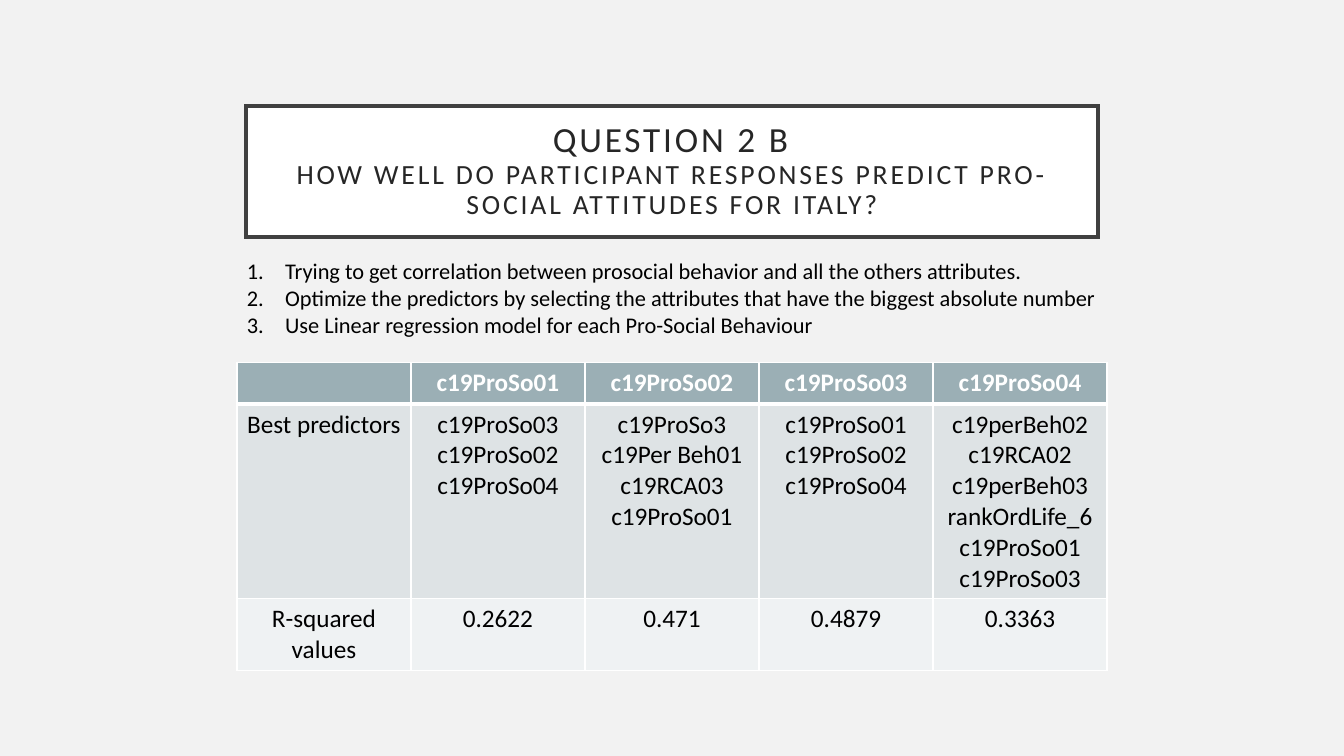
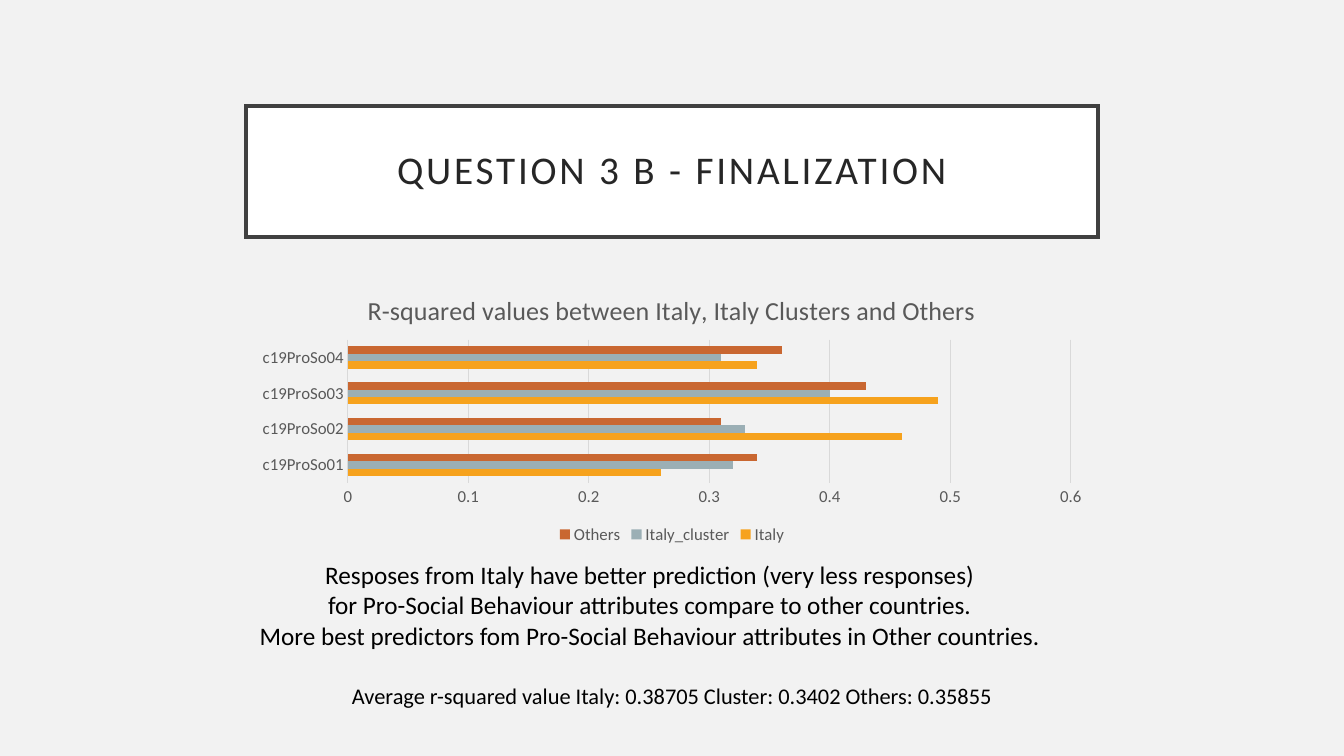
from dataclasses import dataclass

from lxml.etree import SubElement
from pptx import Presentation
from pptx.chart.data import CategoryChartData
from pptx.dml.color import RGBColor
from pptx.enum.chart import XL_CHART_TYPE as ChartType
from pptx.enum.chart import XL_LEGEND_POSITION as LegendPosition
from pptx.enum.chart import XL_TICK_MARK as TickMark
from pptx.enum.shapes import MSO_SHAPE as Shape
from pptx.enum.text import MSO_ANCHOR as Anchor
from pptx.enum.text import PP_ALIGN as Align
from pptx.oxml.ns import qn
from pptx.util import Inches, Pt


@dataclass(frozen=True)
class Theme:
    font: str = "Calibri"
    background: str = "F2F2F2"
    white: str = "FFFFFF"
    text: str = "000000"
    title: str = "262626"
    frame: str = "404040"
    chart_text: str = "595959"
    grid: str = "D9D9D9"
    header: str = "9BAFB5"
    body_rows: tuple = ("DEE3E5", "EFF2F3")
    series: tuple = ("F6A21D", "9BAFB5", "C96731")
    title_size: float = 28
    long_title_size: float = 25.2
    subtitle_size: float = 19.8
    body_size: float = 18
    small_size: float = 16
    chart_title_size: float = 18.6
    chart_size: float = 12


THEME = Theme()
CONTENT_LEFT, CONTENT_WIDTH = 2.44, 8.45
ATTRIBUTES = [f"c19ProSo{number:02}" for number in range(1, 5)]


def style_font(font, size, color=THEME.text, bold=False):
    font.name = THEME.font
    font.size = Pt(size)
    font.bold = bold
    font.color.rgb = RGBColor.from_string(color)


def fill_solid(fill, color):
    fill.solid()
    fill.fore_color.rgb = RGBColor.from_string(color)


def write_lines(frame, lines, size, color=THEME.text, align=Align.CENTER, bold=False):
    frame.text = "\n".join(lines)
    for paragraph in frame.paragraphs:
        paragraph.alignment = align
        style_font(paragraph.font, size, color, bold)


def add_text(slide, box, lines, size, align=Align.CENTER):
    frame = slide.shapes.add_textbox(*map(Inches, box)).text_frame
    frame.word_wrap = True
    write_lines(frame, lines, size, align=align)
    return frame


def number_paragraphs(frame, indent):
    for paragraph in frame.paragraphs:
        properties = paragraph._p.get_or_add_pPr()
        properties.set("marL", str(Inches(indent)))
        properties.set("indent", str(-Inches(indent)))
        SubElement(properties, qn("a:buAutoNum"), type="arabicPeriod")


def add_titled_slide(presentation, title_lines):
    """Add a slide with a framed title; title_lines holds (text, size) pairs."""
    slide = presentation.slides.add_slide(presentation.slide_layouts[6])
    fill_solid(slide.background.fill, THEME.background)
    box = (CONTENT_LEFT, 1.05, CONTENT_WIDTH, 1.3)
    shape = slide.shapes.add_shape(Shape.RECTANGLE, *map(Inches, box))
    shape.shadow.inherit = False
    fill_solid(shape.fill, THEME.white)
    fill_solid(shape.line.fill, THEME.frame)
    shape.line.width = Pt(2.5)
    # Square corners
    SubElement(shape.line._get_or_add_ln(), qn("a:miter"), lim="800000")

    frame = shape.text_frame
    frame.word_wrap = True
    frame.vertical_anchor = Anchor.MIDDLE
    frame.margin_left = frame.margin_right = Inches(0.2)
    frame.margin_top = frame.margin_bottom = Inches(0.2)
    paragraph = frame.paragraphs[0]
    paragraph.alignment = Align.CENTER
    paragraph.line_spacing = 0.9
    for index, (text, size) in enumerate(title_lines):
        if index:
            paragraph.add_line_break()
        run = paragraph.add_run()
        run.text = text
        style_font(run.font, size, THEME.title)
        run._r.get_or_add_rPr().set("spc", "200")
    return slide


def set_borders(cell, top, bottom):
    properties = cell._tc.get_or_add_tcPr()
    for side, width in (("L", 1), ("R", 1), ("T", top), ("B", bottom)):
        line = SubElement(properties, qn(f"a:ln{side}"), w=str(Pt(width)))
        fill = SubElement(line, qn("a:solidFill"))
        SubElement(fill, qn("a:srgbClr"), val=THEME.white)


def add_table(slide, left, top, width, row_heights, rows):
    """Add a table whose cells are lists of lines; the first row is the header."""
    columns = len(rows[0])
    table = slide.shapes.add_table(
        len(rows), columns, Inches(left), Inches(top),
        Inches(width), Inches(sum(row_heights))).table
    table.horz_banding = False
    fills = (THEME.header, *THEME.body_rows)
    for row_index, (lines_by_cell, height) in enumerate(zip(rows, row_heights)):
        table.rows[row_index].height = Inches(height)
        is_header = row_index == 0
        for column_index, lines in enumerate(lines_by_cell):
            cell = table.cell(row_index, column_index)
            set_borders(cell, top=3 if row_index == 1 else 1,
                        bottom=3 if is_header else 1)
            fill_solid(cell.fill, fills[row_index])
            if lines:
                write_lines(cell.text_frame, lines, THEME.body_size,
                            THEME.white if is_header else THEME.text, bold=is_header)


def place_plot_area(chart, chart_size, plot_box):
    """Fix the plot area inside the chart; both sizes are in inches."""
    plot_area = chart._chartSpace.chart.plotArea
    for old in plot_area.findall(qn("c:layout")):
        plot_area.remove(old)
    layout = plot_area.makeelement(qn("c:layout"), {})
    plot_area.insert(0, layout)
    manual = SubElement(layout, qn("c:manualLayout"))
    fractions = [length / total for length, total in zip(plot_box, chart_size * 2)]
    values = [("layoutTarget", "inner"), ("xMode", "edge"), ("yMode", "edge"),
              *zip("xywh", fractions)]
    for tag, value in values:
        SubElement(manual, qn(f"c:{tag}"), val=str(value))


def add_bar_chart(slide, box, title, categories, series_values):
    data = CategoryChartData()
    data.categories = categories
    for name, values in series_values.items():
        data.add_series(name, values)
    chart = slide.shapes.add_chart(
        ChartType.BAR_CLUSTERED, *map(Inches, box), data).chart
    style_font(chart.font, THEME.chart_size, THEME.chart_text)

    # Title and plot area
    chart.has_title = True
    write_lines(chart.chart_title.text_frame, [title],
                THEME.chart_title_size, THEME.chart_text)
    chart.chart_title.include_in_layout = False
    place_plot_area(chart, box[2:], (1.01, 0.63, 7.17, 1.42))

    # Bars
    plot = chart.plots[0]
    plot.gap_width = 182
    plot.vary_by_categories = False
    for series, color in zip(plot.series, THEME.series):
        fill_solid(series.format.fill, color)

    # Axes
    value_axis, category_axis = chart.value_axis, chart.category_axis
    for axis in (value_axis, category_axis):
        axis.major_tick_mark = axis.minor_tick_mark = TickMark.NONE
        style_font(axis.tick_labels.font, THEME.chart_size, THEME.chart_text)
    value_axis.minimum_scale, value_axis.maximum_scale = 0, 0.6
    value_axis.major_unit = 0.1
    value_axis.format.line.fill.background()
    for line in (category_axis.format.line, value_axis.major_gridlines.format.line):
        fill_solid(line.fill, THEME.grid)
        line.width = Pt(0.75)

    # Legend
    chart.has_legend = True
    chart.legend.position = LegendPosition.BOTTOM
    chart.legend.include_in_layout = False
    style_font(chart.legend.font, THEME.chart_size, THEME.chart_text)


def add_predictors_slide(presentation):
    slide = add_titled_slide(presentation, [
        ("QUESTION 2 B", THEME.long_title_size),
        ("HOW WELL DO PARTICIPANT RESPONSES PREDICT PRO-SOCIAL ATTITUDES FOR ITALY?",
         THEME.subtitle_size),
    ])
    rows = [
        [[]] + [[attribute] for attribute in ATTRIBUTES],
        [["Best predictors"],
         ["c19ProSo03", "c19ProSo02", "c19ProSo04"],
         ["c19ProSo3", "c19Per Beh01", "c19RCA03", "c19ProSo01"],
         ["c19ProSo01", "c19ProSo02", "c19ProSo04"],
         ["c19perBeh02", "c19RCA02", "c19perBeh03", "rankOrdLife_6",
          "c19ProSo01", "c19ProSo03"]],
        [["R-squared values"], ["0.2622"], ["0.471"], ["0.4879"], ["0.3363"]],
    ]
    add_table(slide, 2.35, 3.6, 8.63, (0.41, 1.93, 0.71), rows)
    steps = add_text(slide, (2.35, 2.5, 8.72, 0.91), [
        "Trying to get correlation between prosocial behavior and all the others attributes.",
        "Optimize the predictors by selecting the attributes that have the biggest absolute number",
        "Use Linear regression model for each Pro-Social Behaviour",
    ], THEME.small_size, Align.JUSTIFY)
    number_paragraphs(steps, 0.38)


def add_finalization_slide(presentation):
    slide = add_titled_slide(
        presentation, [("QUESTION 3 B - FINALIZATION", THEME.title_size)])
    add_bar_chart(
        slide, (CONTENT_LEFT, 2.74, CONTENT_WIDTH, 2.7),
        "R-squared values between Italy, Italy Clusters and Others", ATTRIBUTES, {
            "Italy": (0.26, 0.46, 0.49, 0.34),
            "Italy_cluster": (0.32, 0.33, 0.4, 0.31),
            "Others": (0.34, 0.31, 0.43, 0.36),
        })
    add_text(slide, (CONTENT_LEFT, 6.72, CONTENT_WIDTH, 0.37),
             ["Average r-squared value Italy: 0.38705 Cluster: 0.3402 Others: 0.35855"],
             THEME.small_size)
    add_text(slide, (2, 5.5, 8.89, 1.01), [
        "Resposes from Italy have better prediction (very less responses)",
        "for Pro-Social Behaviour attributes compare to other countries.",
        "More best predictors fom Pro-Social Behaviour attributes in Other countries.",
    ], THEME.body_size)


def main():
    presentation = Presentation()
    presentation.slide_width = Inches(13.33)
    presentation.slide_height = Inches(7.5)
    add_predictors_slide(presentation)
    add_finalization_slide(presentation)
    presentation.save("out.pptx")


if __name__ == "__main__":
    main()
